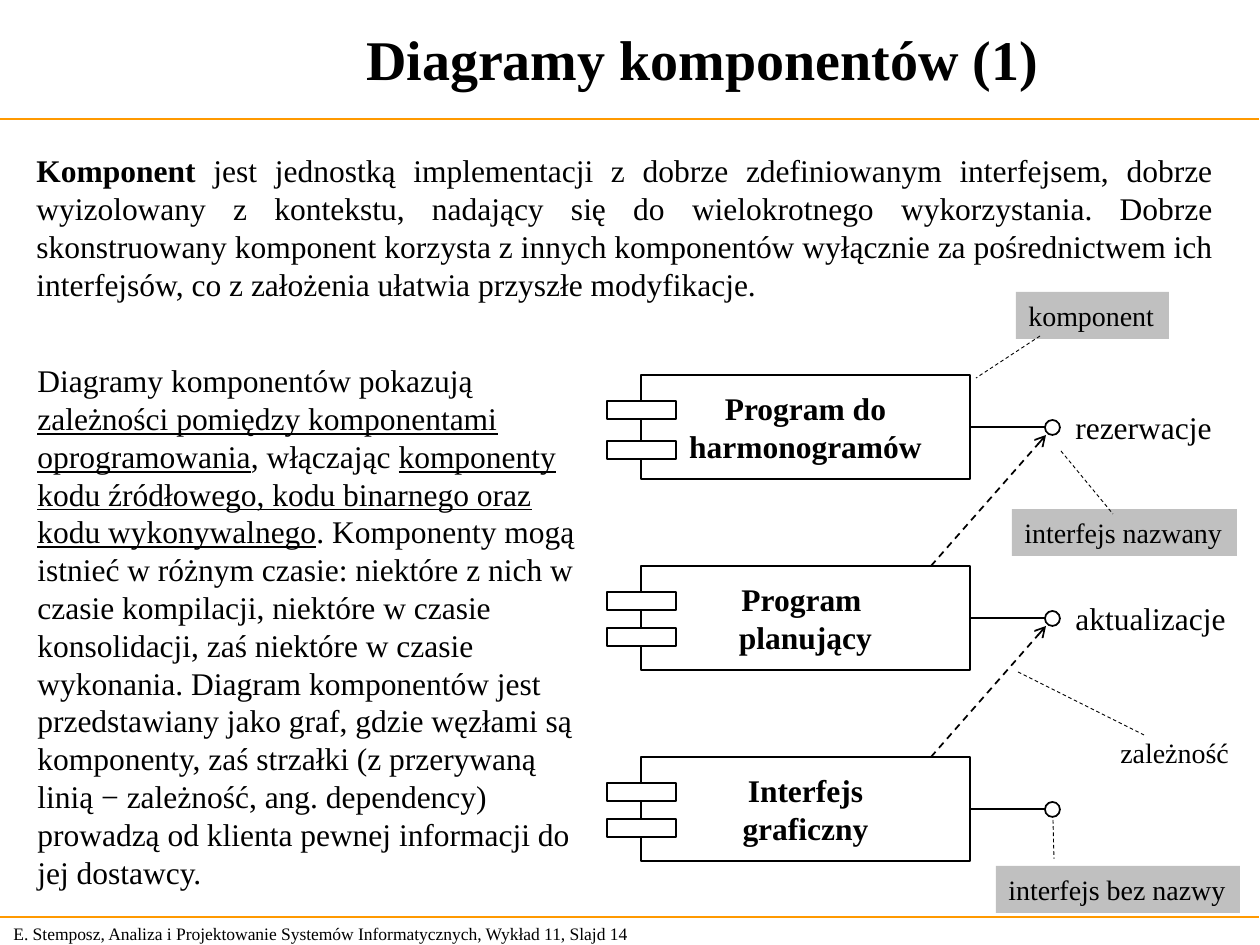
from lxml.etree import SubElement
from pptx import Presentation
from pptx.dml.color import RGBColor
from pptx.enum.dml import MSO_LINE
from pptx.enum.shapes import MSO_CONNECTOR, MSO_SHAPE
from pptx.enum.text import MSO_ANCHOR, MSO_AUTO_SIZE, PP_ALIGN
from pptx.oxml.ns import qn
from pptx.util import Emu, Pt

BLACK = RGBColor(0x00, 0x00, 0x00)
WHITE = RGBColor(0xFF, 0xFF, 0xFF)
GRAY = RGBColor(0xC0, 0xC0, 0xC0)
ORANGE = RGBColor(0xFF, 0x99, 0x00)
FONT = "Times New Roman"
WIDTH, HEIGHT = 1260, 945


def px(length):
    return Emu(round(length * 914400 / 126))


class SlideBuilder:
    def __init__(self, deck):
        self.page = deck.slides.add_slide(deck.slide_layouts[5])
        self.shapes = self.page.shapes

    def format(self, para, size, bold=None, align=PP_ALIGN.LEFT):
        para.alignment = align
        font = para.font
        font.name, font.size, font.bold = FONT, Pt(size), bold
        font.color.rgb = BLACK

    def title(self, text, left, top, width, height):
        box = self.shapes.title
        box.left, box.top, box.width, box.height = map(px, (left, top, width, height))
        frame = box.text_frame
        frame.text = text
        frame.auto_size = MSO_AUTO_SIZE.NONE
        frame.vertical_anchor = MSO_ANCHOR.MIDDLE
        self.format(frame.paragraphs[0], 32, True, PP_ALIGN.CENTER)

    def text(self, spans, left, top, width, height, size=18, wrap=False,
             align=PP_ALIGN.LEFT, fill=None):
        box = self.shapes.add_textbox(*map(px, (left, top, width, height)))
        if fill is not None:
            box.fill.solid()
            box.fill.fore_color.rgb = fill
        frame = box.text_frame
        frame.word_wrap = wrap
        frame.auto_size = MSO_AUTO_SIZE.SHAPE_TO_FIT_TEXT
        para = frame.paragraphs[0]
        self.format(para, size, align=align)
        for words, style in spans:
            span = para.add_run()
            span.text = words
            if style == "bold":
                span.font.bold = True
            elif style == "underline":
                span.font.underline = True

    def label(self, words, left, top, width, height=47, size=16, fill=None):
        self.text([(words, None)], left, top, width, height, size, fill=fill)

    def outline(self, kind, left, top, width, height, fill=None):
        shape = self.shapes.add_shape(kind, *map(px, (left, top, width, height)))
        shape.shadow.inherit = False
        if fill is None:
            shape.fill.background()
        else:
            shape.fill.solid()
            shape.fill.fore_color.rgb = fill
        shape.line.color.rgb = BLACK
        shape.line.width = Pt(1)
        return shape

    def line(self, start, end, color=BLACK, weight=1, dashed=False, arrow=False):
        line = self.shapes.add_connector(
            MSO_CONNECTOR.STRAIGHT, *map(px, (*start, *end)))
        line.line.color.rgb = color
        line.line.width = Pt(weight)
        if dashed:
            line.line.dash_style = MSO_LINE.DASH
        if arrow:
            SubElement(line.line._get_or_add_ln(), qn("a:tailEnd"), type="arrow")
        SubElement(line._element.spPr, qn("a:effectLst"))
        return line

    def component(self, names, top, lug_offsets):
        body = self.outline(MSO_SHAPE.RECTANGLE, 641, top, 329, 104)
        frame = body.text_frame
        frame.word_wrap = False
        frame.vertical_anchor = MSO_ANCHOR.MIDDLE
        for index, name in enumerate(names):
            para = frame.add_paragraph() if index else frame.paragraphs[0]
            para.text = name
            self.format(para, 18, True, PP_ALIGN.CENTER)
        for offset in lug_offsets:
            self.outline(MSO_SHAPE.RECTANGLE, 607, top + offset, 69, 18, WHITE)
        middle = top + 52
        link = self.line((970, middle), (1045, middle))
        link.begin_connect(body, 3)
        self.outline(MSO_SHAPE.OVAL, 1045, middle - 7, 15, 15)


def main():
    deck = Presentation()
    deck.slide_width, deck.slide_height = px(WIDTH), px(HEIGHT)
    slide = SlideBuilder(deck)

    slide.text([("E. Stemposz, Analiza i Projektowanie Systemów Informatycznych, "
                 "Wykład 11, Slajd 14", None)], 1, 917, 660, 34, 10, wrap=True)
    for y in (119, 917):
        slide.line((-1, y), (1259, y), ORANGE, 0.75)
    slide.title("Diagramy komponentów (1)", 146, 0, 1113, 116)

    slide.text([
        ("Komponent", "bold"),
        (" jest jednostką implementacji z dobrze zdefiniowanym interfejsem, dobrze "
         "wyizolowany z kontekstu, nadający się do wielokrotnego wykorzystania. "
         "Dobrze skonstruowany komponent korzysta z innych komponentów wyłącznie za "
         "pośrednictwem ich interfejsów, co z założenia ułatwia przyszłe "
         "modyfikacje.", None),
    ], 24, 145, 1202, 164, wrap=True, align=PP_ALIGN.JUSTIFY)
    slide.text([
        ("Diagramy komponentów pokazują ", None),
        ("zależności pomiędzy komponentami oprogramowania", "underline"),
        (", włączając ", None),
        ("komponenty kodu źródłowego, kodu binarnego oraz kodu wykonywalnego",
         "underline"),
        (". Komponenty mogą istnieć w różnym czasie: niektóre z nich w czasie "
         "kompilacji, niektóre w czasie konsolidacji, zaś niektóre w czasie "
         "wykonania. Diagram komponentów jest przedstawiany jako graf, gdzie węzłami "
         "są komponenty, zaś strzałki (z przerywaną linią − zależność, ang. "
         "dependency) prowadzą od klienta pewnej informacji do jej dostawcy.", None),
    ], 25, 355, 583, 542, wrap=True)

    components = [
        (("Program do", "harmonogramów"), (26, 66)),
        (("Program ", "planujący"), (26, 62)),
        (("Interfejs", "graficzny"), (26, 62)),
    ]
    tops = [375 + 191 * index for index in range(len(components))]
    for (names, lug_offsets), top in zip(components, tops):
        slide.component(names, top, lug_offsets)
    for client_top in tops[1:]:
        slide.line((931, client_top), (1046, client_top - 131),
                   dashed=True, arrow=True)
    for name, top, width in zip(("rezerwacje", "aktualizacje"), tops, (165, 179)):
        slide.label(name, 1063, top + 27, width, 50, 18)

    slide.label("komponent", 1016, 292, 153, fill=GRAY)
    slide.label("interfejs nazwany", 1012, 509, 225, fill=GRAY)
    slide.label("zależność", 1108, 729, 137)
    slide.label("interfejs bez nazwy", 996, 866, 244, fill=GRAY)
    for start, end in [
        ((1040, 336), (976, 378)),
        ((1061, 451), (1113, 514)),
        ((1018, 672), (1144, 735)),
        ((1053, 820), (1054, 859)),
    ]:
        slide.line(start, end, weight=0.5, dashed=True)

    deck.save("out.pptx")


if __name__ == "__main__":
    main()
